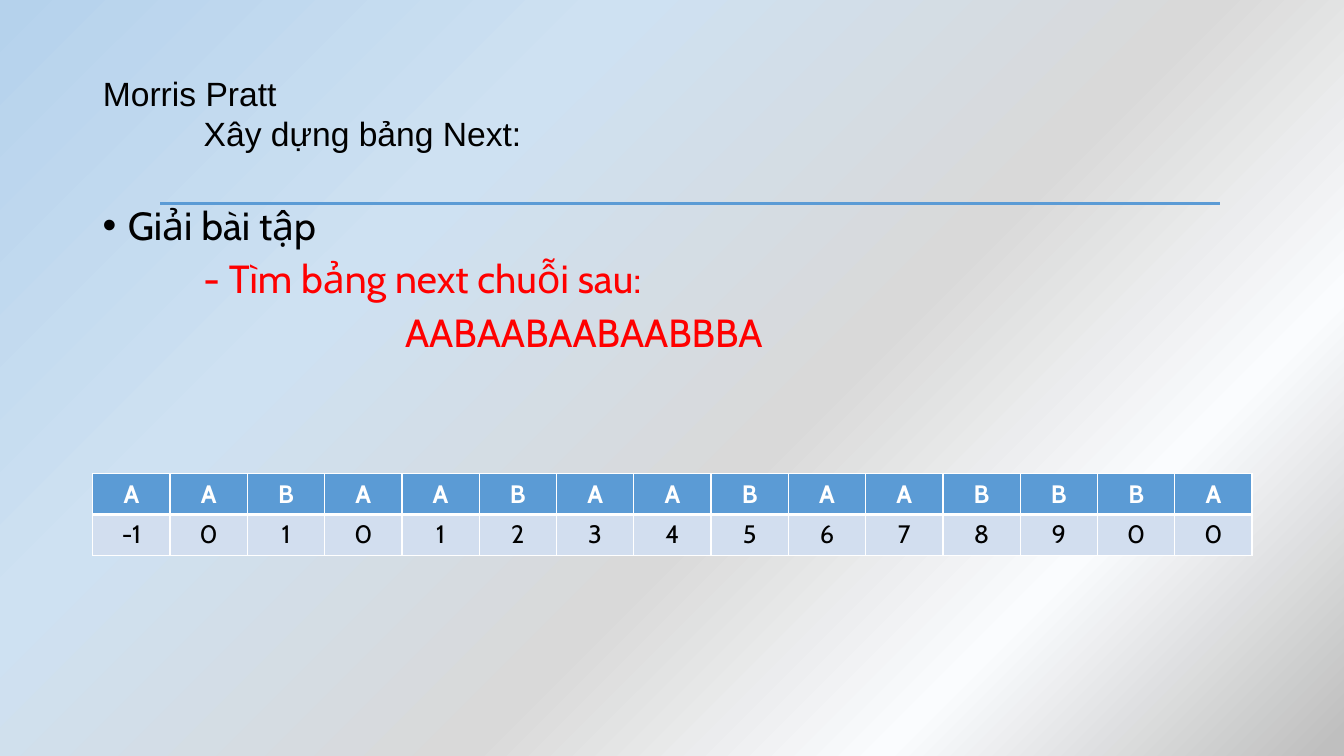
from lxml import etree
from pptx import Presentation
from pptx.dml.color import RGBColor
from pptx.enum.shapes import MSO_CONNECTOR
from pptx.enum.text import MSO_ANCHOR, MSO_AUTO_SIZE, PP_ALIGN
from pptx.oxml.ns import qn
from pptx.util import Inches, Pt

STRAIGHT = MSO_CONNECTOR.STRAIGHT
MIDDLE, TOP = MSO_ANCHOR.MIDDLE, MSO_ANCHOR.TOP
NO_AUTOFIT = MSO_AUTO_SIZE.NONE
LEFT, CENTER = PP_ALIGN.LEFT, PP_ALIGN.CENTER

BLACK, WHITE, RED = "000000", "FFFFFF", "FF0000"
BLUE, PALE_BLUE = "5B9BD5", "D2DEEF"
GRADIENT_STOPS = [
    (0, "B5D2EC", 100),
    (30, "CEE1F2", 100),
    (58, "D9D9D9", 85),
    (78, "FAFCFE", 100),
    (99, "BFBFBF", 100),
]
PATTERN = "AABAABAABAABBBA"
NEXT_VALUES = [-1, 0, 1, 0, 1, 2, 3, 4, 5, 6, 7, 8, 9, 0, 0]


def color(hex_value):
    return RGBColor.from_string(hex_value)


def add_element(parent, tag, **attributes):
    return etree.SubElement(parent, qn(tag), attributes)


def add_run(paragraph, text, font_name, size, hex_value, bold=False):
    run = paragraph.add_run()
    run.text = text
    run.font.name = font_name
    run.font.size = Pt(size)
    run.font.bold = bold
    run.font.color.rgb = color(hex_value)


def indent(paragraph, left, first_line=0):
    properties = paragraph._p.get_or_add_pPr()
    properties.set("marL", str(Inches(left)))
    properties.set("indent", str(Inches(first_line)))
    return properties


def next_paragraph(text_frame, index):
    return text_frame.add_paragraph() if index else text_frame.paragraphs[0]


def set_background(slide):
    fill = slide.background.fill
    fill.gradient()
    fill.gradient_angle = 315
    stop_list = next(slide.element.iter(qn("a:gsLst")))
    for stop in list(stop_list):
        stop_list.remove(stop)
    for position, hex_value, opacity in GRADIENT_STOPS:
        stop = add_element(stop_list, "a:gs", pos=str(position * 1000))
        stop_color = add_element(stop, "a:srgbClr", val=hex_value)
        if opacity < 100:
            add_element(stop_color, "a:alpha", val=str(opacity * 1000))


def add_rule(slide, left, top, width):
    line = slide.shapes.add_connector(
        STRAIGHT, Inches(left), Inches(top), Inches(left + width), Inches(top)
    )
    line.line.color.rgb = color(BLUE)
    line.line.width = Pt(2.5)
    add_element(line._element.spPr, "a:effectLst")


def add_title(slide, left, top, width, height):
    title = slide.shapes.title
    title.left, title.top = Inches(left), Inches(top)
    title.width, title.height = Inches(width), Inches(height)
    text_frame = title.text_frame
    text_frame.auto_size = NO_AUTOFIT
    text_frame.vertical_anchor = MIDDLE
    for index, text in enumerate(["Morris Pratt", "Xây dựng bảng Next:"]):
        paragraph = next_paragraph(text_frame, index)
        paragraph.alignment = LEFT
        indent(paragraph, index)
        add_run(paragraph, text, "Arial", 24, BLACK)


def add_exercise(slide, left, top, width, height):
    box = slide.shapes.add_textbox(
        Inches(left), Inches(top), Inches(width), Inches(height)
    )
    text_frame = box.text_frame
    text_frame.word_wrap = True
    text_frame.vertical_anchor = TOP
    lines = [
        ("Giải bài tập", BLACK, 0.25, -0.25),
        ("- Tìm bảng next chuỗi sau:", RED, 1, 0),
        (PATTERN, RED, 3, 0),
    ]
    for index, (text, hex_value, margin, first_line) in enumerate(lines):
        paragraph = next_paragraph(text_frame, index)
        paragraph.line_spacing = 0.9
        paragraph.space_before = Pt(8 if index else 0)
        properties = indent(paragraph, margin, first_line)
        if first_line:
            add_element(properties, "a:buFont", typeface="Arial")
            add_element(properties, "a:buChar", char="•")
        add_run(paragraph, text, "Cabin", 28, hex_value)


def set_borders(cell, bottom_width):
    properties = cell._tc.get_or_add_tcPr()
    widths = {"a:lnL": 1, "a:lnR": 1, "a:lnT": 1, "a:lnB": bottom_width}
    for tag, width in widths.items():
        border = add_element(properties, tag, w=str(Pt(width)))
        fill = add_element(border, "a:solidFill")
        add_element(fill, "a:srgbClr", val=WHITE)


def add_next_table(slide, left, top, width, height):
    rows = [
        (PATTERN, BLUE, WHITE, True, 3),
        (NEXT_VALUES, PALE_BLUE, BLACK, False, 1),
    ]
    table = slide.shapes.add_table(
        len(rows), len(PATTERN),
        Inches(left), Inches(top), Inches(width), Inches(height),
    ).table
    for row_index, (values, fill, text_color, bold, bottom) in enumerate(rows):
        for column_index, value in enumerate(values):
            cell = table.cell(row_index, column_index)
            set_borders(cell, bottom)
            cell.fill.solid()
            cell.fill.fore_color.rgb = color(fill)
            paragraph = cell.text_frame.paragraphs[0]
            paragraph.alignment = CENTER
            add_run(paragraph, str(value), "Cabin", 18, text_color, bold)


def main():
    presentation = Presentation()
    presentation.slide_width = Inches(13.33)
    presentation.slide_height = Inches(7.5)
    slide = presentation.slides.add_slide(presentation.slide_layouts[5])
    set_background(slide)
    add_rule(slide, 1.59, 2.02, 10.51)
    add_title(slide, 0.92, 0.4, 11.5, 1.45)
    add_exercise(slide, 0.92, 2, 11.5, 4.76)
    add_next_table(slide, 0.92, 4.7, 11.5, 0.81)
    presentation.save("out.pptx")


if __name__ == "__main__":
    main()
